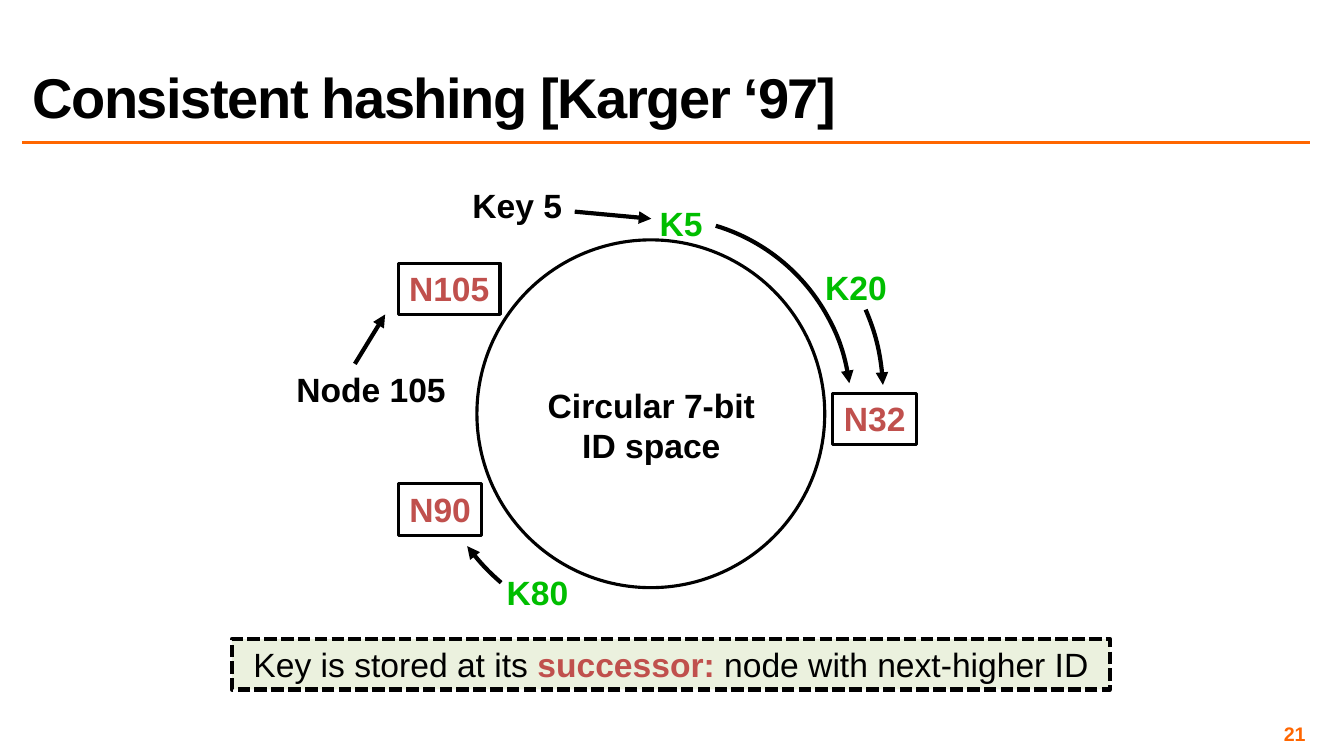
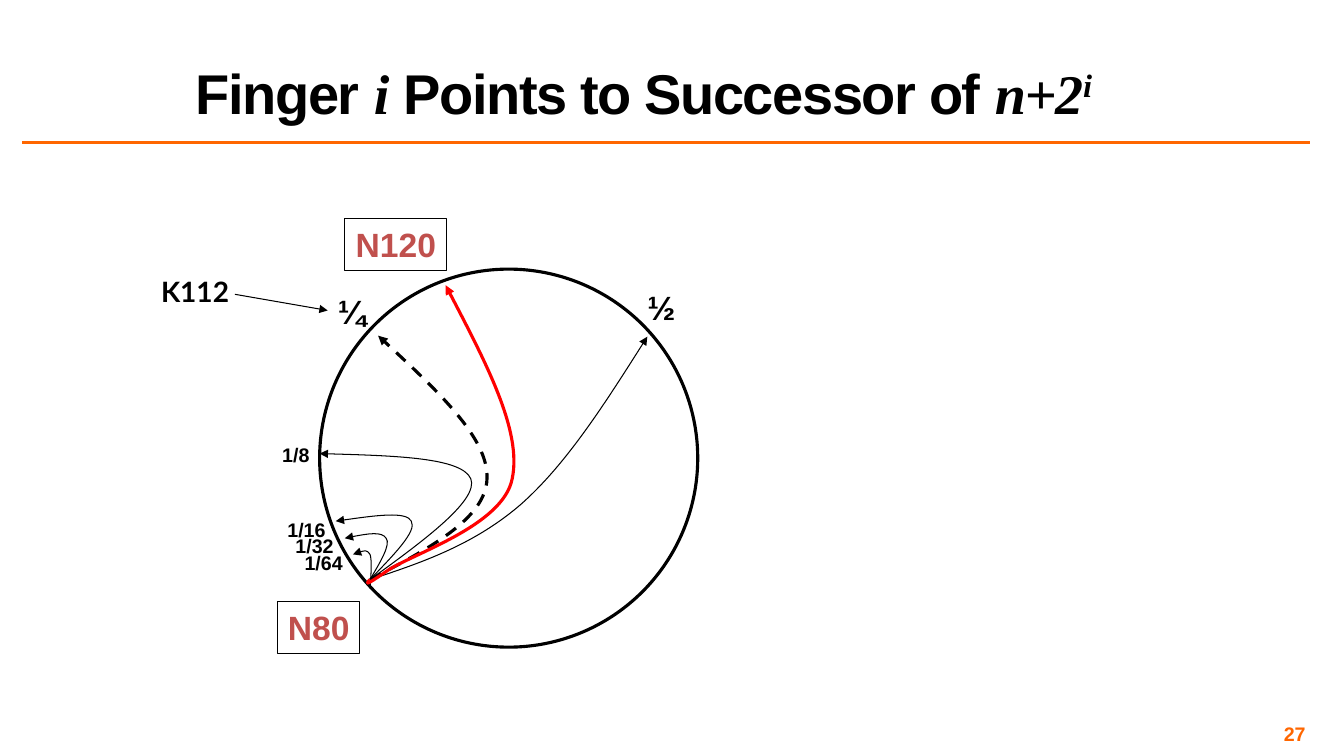
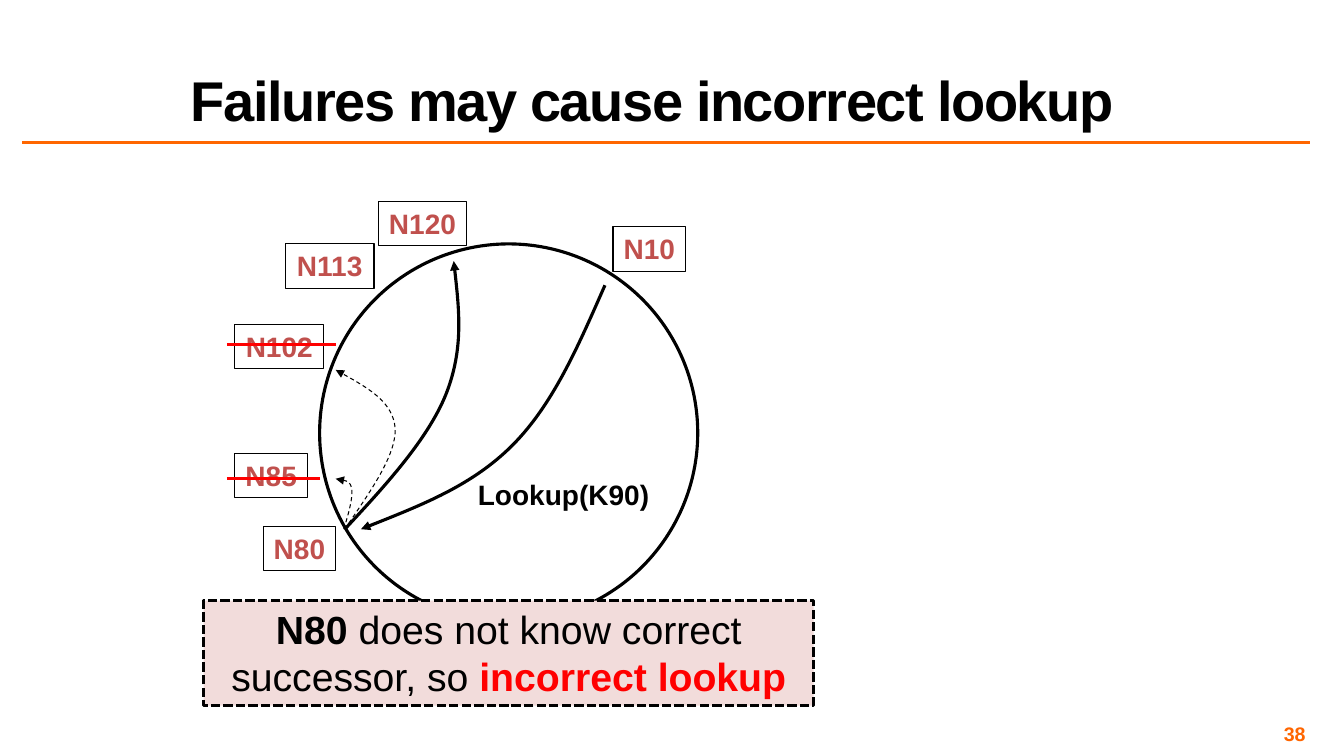
from dataclasses import dataclass

from pptx import Presentation
from pptx.dml.color import RGBColor
from pptx.enum.dml import MSO_LINE
from pptx.enum.shapes import MSO_CONNECTOR, MSO_SHAPE
from pptx.enum.text import MSO_ANCHOR, MSO_AUTO_SIZE, PP_ALIGN
from pptx.oxml.ns import qn
from pptx.util import Inches, Pt
from lxml.etree import SubElement

BLACK = RGBColor(0x00, 0x00, 0x00)
ORANGE = RGBColor(0xFF, 0x66, 0x00)
BRICK = RGBColor(0xC0, 0x50, 0x4D)
GREEN = RGBColor(0x00, 0xBE, 0x00)
RED = RGBColor(0xFF, 0x00, 0x00)
PALE_GREEN = RGBColor(0xEB, 0xF1, 0xDE)
PALE_RED = RGBColor(0xF2, 0xDC, 0xDB)

SANS, SERIF = "Arial", "Times New Roman"
THIN, MEDIUM, THICK = 0.75, 2.25, 3


@dataclass
class Box:
    left: float
    top: float
    width: float
    height: float

    def inside(self, left, top, width, height):
        """Box given by its offset from this one."""
        return Box(self.left + left, self.top + top, width, height)

    def point(self, x, y):
        return Inches(self.left + x), Inches(self.top + y)

    def lengths(self):
        return [Inches(v) for v in (self.left, self.top, self.width, self.height)]


# ---- Text and line styles ----

def style_span(span, size, color=BLACK, bold=True, italic=False, font=SANS):
    span.font.name = font
    span.font.size = Pt(size)
    span.font.bold = bold
    span.font.italic = italic
    span.font.color.rgb = color


def write_spans(para, spans, size):
    """Each span is (text, style changes)."""
    for text, changes in spans:
        span = para.add_run()
        span.text = text
        style_span(span, size, **changes)


def write_centred(shape, text, size, **style):
    """Unwrapped text in a shape that grows with it."""
    frame = shape.text_frame
    frame.word_wrap = False
    frame.auto_size = MSO_AUTO_SIZE.SHAPE_TO_FIT_TEXT
    frame.vertical_anchor = MSO_ANCHOR.TOP
    frame.text = text
    for para in frame.paragraphs:
        para.alignment = PP_ALIGN.CENTER
        for span in para.runs:
            style_span(span, size, **style)


def style_line(shape, width, color=BLACK, dash=None, arrow=False):
    shape.line.color.rgb = color
    shape.line.width = Pt(width)
    if dash:
        shape.line.dash_style = dash
    properties = shape._element.spPr
    if arrow:
        SubElement(properties.find(qn("a:ln")), qn("a:tailEnd"), type="triangle")
    if properties.find(qn("a:effectLst")) is None:
        SubElement(properties, qn("a:effectLst"))


# ---- Drawing parts ----

def add_outline(page, kind, box, width, fill=None, **line):
    shape = page.shapes.add_shape(kind, *box.lengths())
    shape.shadow.inherit = False
    if fill is None:
        shape.fill.background()
    else:
        shape.fill.solid()
        shape.fill.fore_color.rgb = fill
    style_line(shape, width, **line)
    return shape


def add_line(page, box, start, end, width, **line):
    connector = page.shapes.add_connector(
        MSO_CONNECTOR.STRAIGHT, *box.point(*start), *box.point(*end))
    style_line(connector, width, **line)
    return connector


def add_arc(page, box, start_angle, end_angle):
    """Clockwise arrow; angles in degrees from three o'clock."""
    arc = add_outline(page, MSO_SHAPE.ARC, box, THICK, arrow=True)
    for index, angle in enumerate((start_angle, end_angle)):
        arc.adjustments[index] = angle * 0.6


def add_curve(page, box, start, bends, width, **line):
    """Arrow along cubic bends, each (x1, y1, x2, y2, x, y)."""
    points = [box.point(*bend[i:i + 2]) for bend in bends for i in (0, 2, 4)]
    builder = page.shapes.build_freeform(*box.point(*start))
    builder.add_line_segments(points, close=False)
    curve = builder.convert_to_shape()
    # Turn every three straight segments into one cubic bend
    outline = curve._element.find(".//" + qn("a:path"))
    segments = outline.findall(qn("a:lnTo"))
    for first in range(0, len(segments), 3):
        bend = SubElement(outline, qn("a:cubicBezTo"))
        for segment in segments[first:first + 3]:
            bend.append(segment[0])
            outline.remove(segment)
    curve.shadow.inherit = False
    curve.fill.background()
    style_line(curve, width, arrow=True, **line)


def add_label(page, box, text, size, **style):
    write_centred(page.shapes.add_textbox(*box.lengths()), text, size, **style)


def add_node(page, box, name, size, width):
    node = add_outline(page, MSO_SHAPE.RECTANGLE, box, width)
    write_centred(node, name, size, color=BRICK)


def add_callout(page, box, spans, size, fill, width):
    callout = add_outline(page, MSO_SHAPE.RECTANGLE, box, width, fill,
                          dash=MSO_LINE.SQUARE_DOT)
    frame = callout.text_frame
    frame.word_wrap = True
    frame.auto_size = MSO_AUTO_SIZE.SHAPE_TO_FIT_TEXT
    frame.vertical_anchor = MSO_ANCHOR.TOP
    frame.paragraphs[0].alignment = PP_ALIGN.CENTER
    write_spans(frame.paragraphs[0], spans, size)


# ---- Shared frame: title, rule, page number ----

def move_rule_to_layout(page):
    """Draw the rule under the title and hand it to the shared layout."""
    rule = add_line(page, Box(0.22, 1.41, 12.77, 0), (0, 0), (12.77, 0), 2,
                    color=ORANGE)
    page.slide_layout.shapes._spTree.append(rule._element)


def add_page(deck, number, title_box, title_spans):
    page = deck.slides.add_slide(deck.slide_layouts[5])
    title = page.shapes.title
    title.left, title.top, title.width, title.height = title_box.lengths()
    frame = title.text_frame
    frame.word_wrap = True
    frame.auto_size = MSO_AUTO_SIZE.NONE
    frame.vertical_anchor = MSO_ANCHOR.BOTTOM
    para = frame.paragraphs[0]
    para.alignment = PP_ALIGN.LEFT
    para.line_spacing = 0.8
    write_spans(para, title_spans, 40)
    for span in para.runs:
        span._r.get_or_add_rPr().set("spc", "-100")

    footer = page.shapes.add_textbox(*Box(9.88, 7.16, 3.11, 0.23).lengths())
    frame = footer.text_frame
    frame.word_wrap = True
    frame.margin_left = frame.margin_right = Inches(0.04)
    frame.margin_top = frame.margin_bottom = Inches(0.04)
    frame.vertical_anchor = MSO_ANCHOR.MIDDLE
    frame.text = str(number)
    frame.paragraphs[0].alignment = PP_ALIGN.RIGHT
    style_span(frame.paragraphs[0].runs[0], 14, ORANGE)
    return page


# ---- Ring diagrams, placed relative to the ring's box ----

def draw_hash_ring(page, ring):
    add_outline(page, MSO_SHAPE.OVAL, ring, MEDIUM)
    for name, left, top, width in (("N32", 3.53, 1.52, 0.83),
                                   ("N90", -0.78, 2.42, 0.83),
                                   ("N105", -0.78, 0.23, 1.01)):
        add_node(page, ring.inside(left, top, width, 0.51), name, 24, MEDIUM)

    for text, left, top, width, height, color in (
            ("K80", 0.19, 3.24, 0.82, 0.5, GREEN),
            ("K20", 3.35, 0.22, 0.82, 0.5, GREEN),
            ("K5", 1.71, -0.42, 0.63, 0.5, GREEN),
            ("Circular 7-bit\nID space", 0.59, 1.39, 2.28, 0.91, BLACK),
            ("Key 5", -0.15, -0.59, 1.1, 0.5, BLACK),
            ("Node 105", -1.9, 1.23, 1.7, 0.5, BLACK)):
        add_label(page, ring.inside(left, top, width, height), text, 24, color=color)

    # Pointers from the captions, then keys moving to their successors
    add_line(page, ring, (0.97, -0.28), (1.73, -0.21), THICK, arrow=True)
    add_line(page, ring, (-1.21, 1.23), (-0.91, 0.74), THICK, arrow=True)
    for left, top, size, start, end in ((-0.06, -0.22, 3.77, 286.8, 352.6),
                                        (-0.32, -0.63, 4.35, 336.9, 357.2),
                                        (-0.55, -0.62, 4.58, 130.9, 143.3)):
        add_arc(page, ring.inside(left, top, size, size), start, end)


def draw_finger_ring(page, ring):
    add_outline(page, MSO_SHAPE.OVAL, ring, MEDIUM)
    add_node(page, ring.inside(-0.42, 3.3, 0.82, 0.51), "N80", 24, THIN)

    for text, left, top, width, height, size in (
            ("½", 3.15, 0.13, 0.48, 0.5, 24),
            ("¼", 0.08, 0.17, 0.48, 0.5, 24),
            ("1/8", -0.47, 1.67, 0.47, 0.33, 14),
            ("1/16", -0.42, 2.42, 0.58, 0.33, 14),
            ("1/32", -0.34, 2.58, 0.58, 0.33, 14),
            ("1/64", -0.25, 2.75, 0.58, 0.33, 14)):
        add_label(page, ring.inside(left, top, width, height), text, size)

    # Fingers from N80, shortest first
    add_curve(page, ring, (0.5, 3.17), [(0.51, 3.03, 0.52, 2.89, 0.5, 2.83),
                                        (0.47, 2.78, 0.4, 2.8, 0.33, 2.83)], THIN)
    root = (0.5, 3.08)
    for bends in (
            [(0.6, 2.91, 0.71, 2.73, 0.66, 2.67), (0.62, 2.6, 0.43, 2.63, 0.25, 2.67)],
            [(0.73, 2.84, 0.97, 2.6, 0.91, 2.5), (0.86, 2.4, 0.51, 2.45, 0.16, 2.5)],
            [(1.04, 2.69, 1.58, 2.29, 1.5, 2.08), (1.41, 1.87, 0.71, 1.85, 0, 1.83)],
            [(1.02, 2.91, 1.54, 2.73, 2, 2.33), (2.45, 1.93, 2.85, 1.3, 3.25, 0.67)]):
        add_curve(page, ring, root, bends, THIN)

    # Key between two fingers
    add_label(page, ring.inside(-1.7, 0, 0.93, 0.44), "K112", 20, font="Lato")
    add_line(page, ring, (-0.84, 0.25), (0.08, 0.41), THIN, arrow=True)
    add_node(page, ring.inside(0.25, -0.5, 1.01, 0.51), "N120", 24, THIN)
    add_curve(page, ring, root, [(1.07, 2.78, 1.65, 2.48, 1.66, 2.08),
                                 (1.68, 1.68, 1.13, 1.17, 0.58, 0.66)],
              MEDIUM, dash=MSO_LINE.DASH)
    add_curve(page, ring, root, [(0.46, 3.12, 0.43, 3.16, 0.66, 3),
                                 (0.9, 2.83, 1.82, 2.55, 1.91, 2.08),
                                 (2.01, 1.61, 1.63, 0.89, 1.25, 0.16)],
              MEDIUM, color=RED)


def draw_failure_ring(page, ring):
    add_outline(page, MSO_SHAPE.OVAL, ring, MEDIUM)
    for name, left, top, width in (("N120", 0.58, -0.42, 0.88),
                                   ("N113", -0.34, 0, 0.88),
                                   ("N102", -0.84, 0.8, 0.88),
                                   ("N80", -0.56, 2.8, 0.72),
                                   ("N85", -0.84, 2.08, 0.72),
                                   ("N10", 2.91, -0.17, 0.72)):
        add_node(page, ring.inside(left, top, width, 0.44), name, 20, THIN)
    add_label(page, ring.inside(1.46, 2.27, 1.92, 0.44), "Lookup(K90)", 20)

    # Failed nodes struck out
    for y, end in ((2.33, 0), (1, 0.16)):
        add_line(page, ring, (-0.92, y), (end, y), MEDIUM, color=RED)

    # Lost fingers dashed, live steps solid
    for start, bends, width, dash in (
            ((0.24, 2.83), [(0.29, 2.67, 0.33, 2.52, 0.32, 2.43),
                            (0.3, 2.35, 0.23, 2.34, 0.16, 2.33)], THIN, MSO_LINE.DASH),
            ((0.25, 2.83), [(0.5, 2.46, 0.76, 2.1, 0.75, 1.83),
                            (0.73, 1.57, 0.45, 1.41, 0.16, 1.25)], THIN, MSO_LINE.DASH),
            ((0.25, 2.83), [(0.66, 2.39, 1.07, 1.94, 1.25, 1.5),
                            (1.43, 1.05, 1.38, 0.61, 1.33, 0.17)], MEDIUM, None),
            ((2.83, 0.41), [(2.57, 1, 2.32, 1.59, 1.91, 2),
                            (1.51, 2.4, 0.96, 2.61, 0.41, 2.83)], MEDIUM, None)):
        add_curve(page, ring, start, bends, width, dash=dash)


def main():
    deck = Presentation()
    deck.slide_width, deck.slide_height = Inches(13.33), Inches(7.5)

    # Consistent hashing
    page = add_page(deck, 21, Box(0.22, 0.16, 12.77, 1.17),
                    [("Consistent hashing [Karger ‘97]", {})])
    move_rule_to_layout(page)
    add_callout(page, Box(2.3, 6.34, 8.71, 0.5),
                [("Key is stored at its ", {"bold": False}),
                 ("successor:", {"color": BRICK}),
                 (" node with next-higher ID", {"bold": False})],
                24, PALE_GREEN, THICK)
    draw_hash_ring(page, Box(4.73, 2.38, 3.45, 3.45))

    # Finger table
    formula = {"font": SERIF, "italic": True}
    page = add_page(deck, 27, Box(1.84, 0.26, 9.43, 1.03),
                    [("Finger ", {}), ("i", formula), (" Points to Successor of ", {}),
                     ("n+2", formula), ("i", formula)])
    exponent = page.shapes.title.text_frame.paragraphs[0].runs[-1]
    exponent._r.get_or_add_rPr().set("baseline", "30000")
    draw_finger_ring(page, Box(3.17, 2.67, 3.75, 3.75))

    # Failures
    page = add_page(deck, 38, Box(1.79, 0.11, 9.62, 1.25),
                    [("Failures may cause incorrect lookup", {})])
    draw_failure_ring(page, Box(3.17, 2.42, 3.75, 3.75))
    add_callout(page, Box(2.02, 5.96, 6.05, 1.04),
                [("N80", {}),
                 (" does not know correct successor, so ", {"bold": False}),
                 ("incorrect lookup", {"color": RED})],
                28, PALE_RED, MEDIUM)

    deck.save("out.pptx")


if __name__ == "__main__":
    main()
